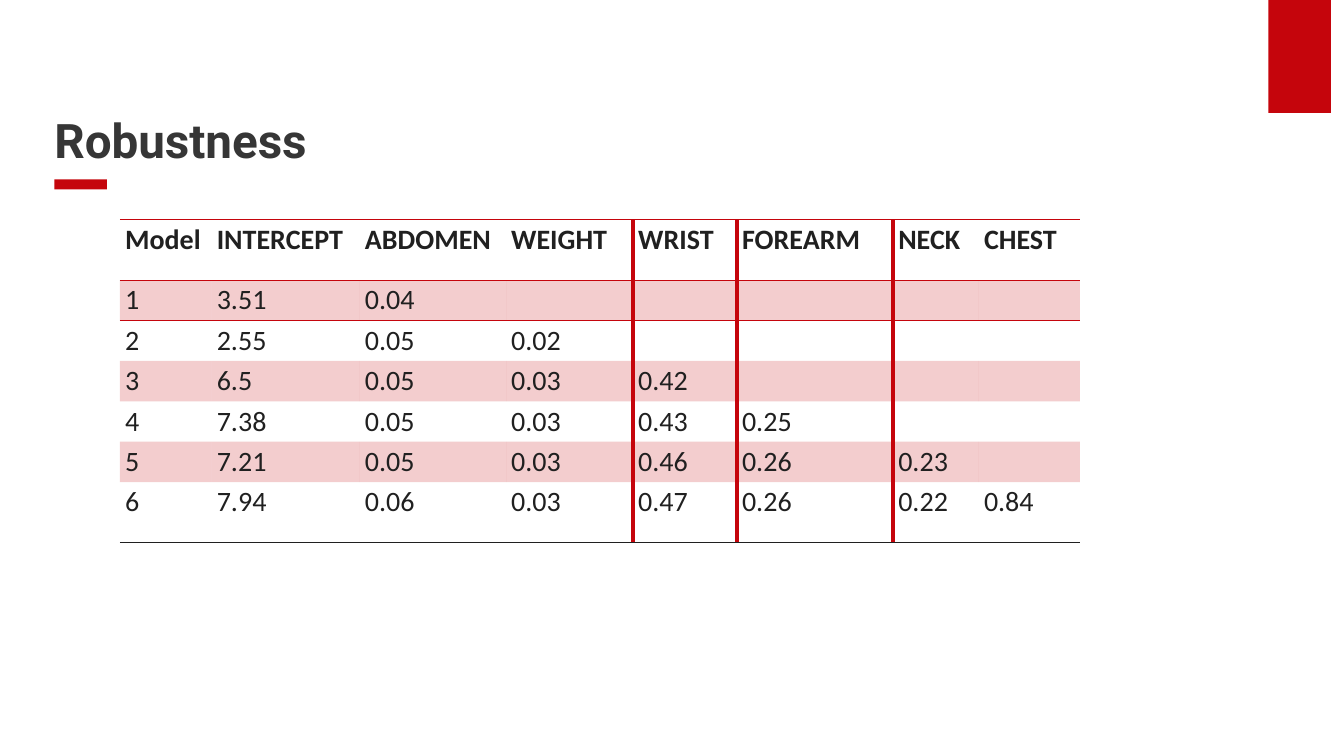
from lxml import etree
from pptx import Presentation
from pptx.dml.color import RGBColor
from pptx.enum.shapes import MSO_SHAPE
from pptx.enum.text import MSO_ANCHOR, MSO_AUTO_SIZE, PP_ALIGN
from pptx.oxml.ns import qn
from pptx.util import Pt

RECT = MSO_SHAPE.RECTANGLE
BOTTOM, TOP = MSO_ANCHOR.BOTTOM, MSO_ANCHOR.TOP
LEFT = PP_ALIGN.LEFT
NO_FIT = MSO_AUTO_SIZE.NONE

PX = 9144  # 100 px to the inch
RED, INK, DARK = "C5050C", "202020", "363636"
NO_GRID = "{2D5ABB26-0587-4C30-8999-92F81FD0307C}"


def paint(color, code):
    color.rgb = RGBColor.from_string(code)


def edge(cell, side, code, width):
    line = etree.SubElement(cell._tc.get_or_add_tcPr(), qn("a:ln" + side), w=str(Pt(width)))
    fill = etree.SubElement(line, qn("a:solidFill"))
    etree.SubElement(fill, qn("a:srgbClr"), val=code)


deck = Presentation()
deck.slide_width, deck.slide_height = 1333 * PX, 750 * PX
slide = deck.slides.add_slide(deck.slide_layouts[5])

# Red corner block and title underline
for box in [(1258, 0, 62, 112), (54, 178, 52, 10)]:
    bar = slide.shapes.add_shape(RECT, *[n * PX for n in box])
    bar.shadow.inherit = False
    bar.fill.solid()
    paint(bar.fill.fore_color, RED)
    bar.line.fill.background()

# Title
title = slide.shapes.title
place = {"left": 54, "top": 50, "width": 1167, "height": 117}
for name, size in place.items():
    setattr(title, name, size * PX)
frame = title.text_frame
look = {"text": "Robustness", "vertical_anchor": BOTTOM, "auto_size": NO_FIT,
        "word_wrap": True, "margin_left": 0, "margin_top": 5 * PX,
        "margin_right": 10 * PX, "margin_bottom": 0}
for name, value in look.items():
    setattr(frame, name, value)
head = frame.paragraphs[0]
head.alignment, head.line_spacing = LEFT, 0.9
font = head.runs[0].font
for name, value in {"name": "Roboto", "size": Pt(34), "bold": True}.items():
    setattr(font, name, value)
paint(font.color, DARK)

# Model table
rows = [
    ["Model", "INTERCEPT", "ABDOMEN", "WEIGHT", "WRIST", "FOREARM", "NECK", "CHEST"],
    ["1", "3.51", "0.04"],
    ["2", "2.55", "0.05", "0.02"],
    ["3", "6.5", "0.05", "0.03", "0.42"],
    ["4", "7.38", "0.05", "0.03", "0.43", "0.25"],
    ["5", "7.21", "0.05", "0.03", "0.46", "0.26", "0.23"],
    ["6", "7.94", "0.06", "0.03", "0.47", "0.26", "0.22", "0.84"],
]
widths = [91, 147, 145, 126, 103, 155, 85, 100]
heights = [60, 37, 37, 37, 37, 37, 60]
last = len(rows) - 1
wrist = rows[0].index("WRIST")

grid = slide.shapes.add_table(len(rows), len(widths), 119 * PX, 218 * PX,
                              sum(widths) * PX, sum(heights) * PX)
table = grid.table
table._tbl.tblPr.find(qn("a:tableStyleId")).text = NO_GRID
table.first_row = table.horz_banding = False
for col, width in zip(table.columns, widths):
    col.width = width * PX
for row, height in zip(table.rows, heights):
    row.height = height * PX

inset = {"margin_left": 5 * PX, "margin_right": 5 * PX, "margin_top": 3 * PX,
         "margin_bottom": 3 * PX, "vertical_anchor": TOP}
for r, row in enumerate(rows):
    for c in range(len(widths)):
        cell = table.cell(r, c)
        for name, value in inset.items():
            setattr(cell, name, value)

        # Lines beside the wrist column, then header and end rules
        if c in (wrist, wrist + 1):
            edge(cell, "L", RED, 3)
        if c in (wrist - 1, wrist):
            edge(cell, "R", RED, 3)
        if r < 2:
            edge(cell, "T", RED, 1)
        if r in (0, last):
            edge(cell, "B", INK if r == last else RED, 1)

        # Tint on odd rows
        if r % 2:
            cell.fill.solid()
            paint(cell.fill.fore_color, RED)
            tint = cell._tc.tcPr.find(qn("a:solidFill"))[0]
            etree.SubElement(tint, qn("a:alpha"), val="20000")
        else:
            cell.fill.background()

        # Cell text
        if c < len(row):
            cell.text = row[c]
            font = cell.text_frame.paragraphs[0].runs[0].font
            for name, value in {"name": "Calibri", "size": Pt(20), "bold": r == 0}.items():
                setattr(font, name, value)
            paint(font.color, INK)

deck.save("out.pptx")
